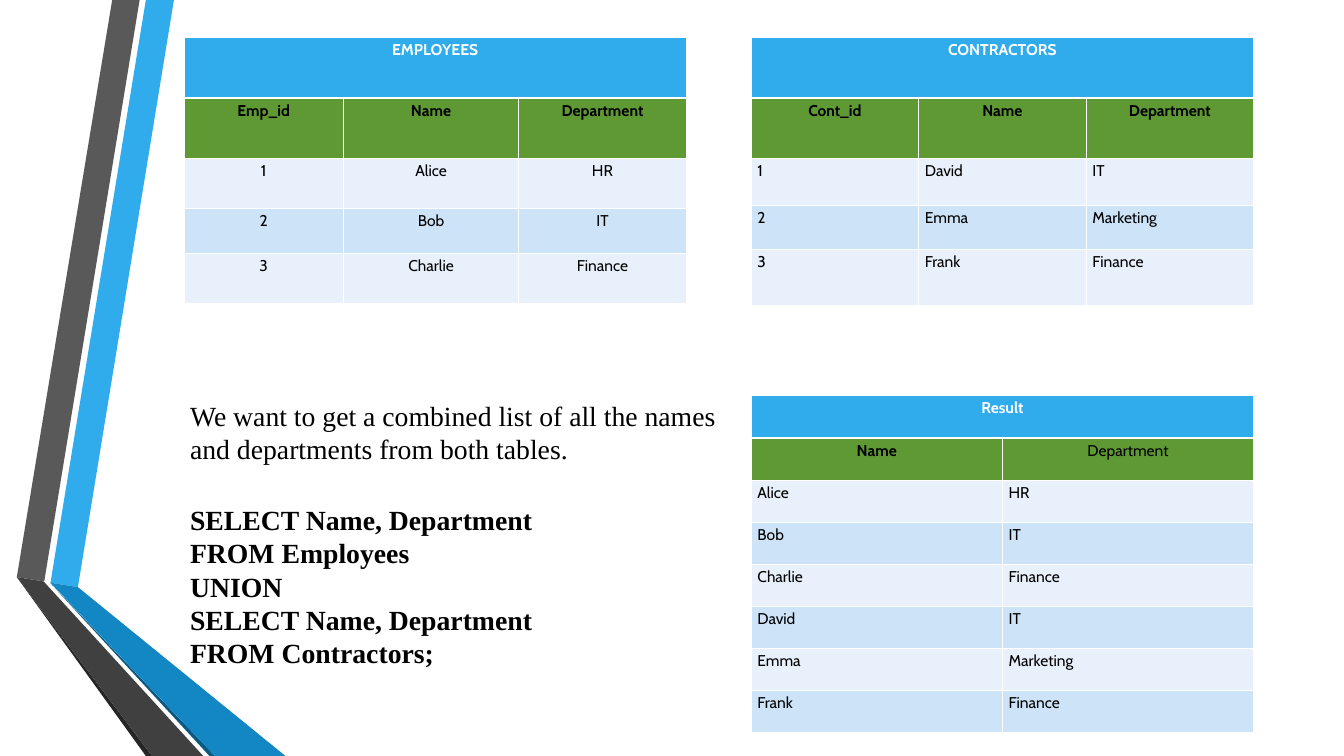
"""Build a slide showing how UNION joins two tables."""
from lxml.etree import SubElement as Sub
from pptx import Presentation
from pptx.dml.color import RGBColor
from pptx.enum.text import MSO_AUTO_SIZE as Auto, PP_ALIGN as Align
from pptx.oxml.ns import qn
from pptx.util import Inches, Pt

WHITE = RGBColor(0xFF, 0xFF, 0xFF)
BLACK = RGBColor(0, 0, 0)
BLUE = RGBColor(0x30, 0xAC, 0xEC)
DEEP = RGBColor(0x12, 0x87, 0xC3)
NAVY = RGBColor(0x0C, 0x5A, 0x82)
GREY = RGBColor(0x59, 0x59, 0x59)
DARK = RGBColor(0x40, 0x40, 0x40)
COAL = RGBColor(0x26, 0x26, 0x26)
GREEN = RGBColor(0x5F, 0x99, 0x34)
PALE = RGBColor(0xE8, 0xF1, 0xFB)
LIGHT = RGBColor(0xCD, 0xE3, 0xF8)

LEFT, RIGHT = 2.95, 12.05
TOP, LOW = 0.6, 6.35
WIDE = 8.06


class Deck:
    """Hold the style and the current slide."""

    def __init__(self, width, height):
        self.show = Presentation()
        self.show.slide_width = Inches(width)
        self.show.slide_height = Inches(height)
        self.slide = self.show.slides.add_slide(self.show.slide_layouts[6])
        self.shapes = self.slide.shapes
        self.sans, self.serif = "Cabin", "Times New Roman"

    def band(self, color, *points):
        """Draw a filled outline without a line."""
        first, *rest = [(Inches(x), Inches(y)) for x, y in points]
        pen = self.shapes.build_freeform(*first)
        pen.add_line_segments(rest, close=True)
        shape = pen.convert_to_shape()
        shape.shadow.inherit = False
        shape.fill.solid()
        shape.fill.fore_color.rgb = color
        shape.line.fill.background()

    def put(self, para, text, face, size, color, bold):
        """Add one run to a paragraph."""
        run = para.add_run()
        run.text = text
        font = run.font
        font.name, font.size, font.bold = face, Pt(size), bold
        font.color.rgb = color

    def edge(self, cell, row):
        """Put white borders on a cell, thick below the title row."""
        props = cell._tc.get_or_add_tcPr()
        for side in "LRTB":
            thick = (side, row) in (("B", 0), ("T", 1))
            line = Sub(props, qn(f"a:ln{side}"), w=str(Pt(3 if thick else 1)))
            fill = Sub(line, qn("a:solidFill"))
            Sub(fill, qn("a:srgbClr"), val=str(WHITE))

    def table(self, left, top, title, cols, highs, rows, align, plain=None):
        """Draw a table with a merged title, a head row and striped rows."""
        frame = self.shapes.add_table(len(highs), len(cols), Inches(left), Inches(top),
                                      Inches(WIDE), Inches(sum(highs)))
        grid = frame.table
        grid.first_row = grid.horz_banding = False
        for col, width in zip(grid.columns, cols):
            col.width = Inches(width)
        for row, high in zip(grid.rows, highs):
            row.height = Inches(high)
        grid.cell(0, 0).merge(grid.cell(0, len(cols) - 1))
        for r, texts in enumerate([[title] + [""] * (len(cols) - 1)] + rows):
            tint = (BLUE, GREEN)[r] if r < 2 else (PALE, LIGHT)[r % 2]
            for c, text in enumerate(texts):
                cell = grid.cell(r, c)
                self.edge(cell, r)
                cell.fill.solid()
                cell.fill.fore_color.rgb = tint
                if text:
                    para = cell.text_frame.paragraphs[0]
                    para.alignment = Align.CENTER if r < 2 else align
                    self.put(para, text, self.sans, 18, BLACK if r else WHITE,
                             r < 2 and (r, c) != plain)

    def text(self, left, top, width, height, intro, code):
        """Set an intro and bold code lines below it."""
        box = self.shapes.add_textbox(*map(Inches, (left, top, width, height)))
        frame = box.text_frame
        frame.word_wrap = True
        frame.auto_size = Auto.SHAPE_TO_FIT_TEXT
        for i, line in enumerate([intro] + code):
            para = frame.add_paragraph() if i else frame.paragraphs[0]
            para.line_spacing = Pt(38.4)
            if i == 1:
                para.space_before = Pt(43.5)
            self.put(para, line, self.serif, 32, BLACK, i > 0)


def main():
    deck = Deck(21.56, 12.13)
    deck.band(BLUE, (0.81, 9.35), (1.25, 9.42), (2.79, 0), (2.34, 0))
    deck.band(GREY, (2.24, 0), (1.8, 0), (0.27, 9.26), (0.71, 9.33))
    deck.band(COAL, (0.27, 9.26), (2.34, 12.13), (2.44, 12.13))
    deck.band(NAVY, (0.81, 9.36), (3.36, 12.13), (3.45, 12.13))
    deck.band(DEEP, (0.81, 9.35), (3.45, 12.13), (4.58, 12.13), (1.25, 9.42))
    deck.band(DARK, (3.26, 12.13), (0.7, 9.33), (0.27, 9.26), (2.44, 12.13))

    staff = [["Alice", "HR"], ["Bob", "IT"], ["Charlie", "Finance"]]
    hired = [["David", "IT"], ["Emma", "Marketing"], ["Frank", "Finance"]]
    head = ["Name", "Department"]

    def count(key, people):
        return [[key] + head] + [[str(n)] + who for n, who in enumerate(people, 1)]

    deck.table(LEFT, TOP, "EMPLOYEES", [2.56, 2.81, 2.69],
               [0.97, 0.97, 0.81, 0.72, 0.8], count("Emp_id", staff), Align.CENTER)
    deck.table(RIGHT, TOP, "CONTRACTORS", [WIDE / 3] * 3,
               [0.97, 0.97, 0.75, 0.71, 0.9], count("Cont_id", hired), Align.LEFT)
    deck.text(LEFT, LOW, 8.98, 4.48,
              "We want to get a combined list of all the names and departments"
              " from both tables.",
              ["SELECT Name, Department", "FROM Employees", "UNION",
               "SELECT Name, Department", "FROM Contractors;"])
    deck.table(RIGHT, LOW, "Result", [WIDE / 2] * 2, [5.41 / 8] * 8,
               [head] + staff + hired, Align.LEFT, plain=(1, 1))
    deck.show.save("out.pptx")


if __name__ == "__main__":
    main()
